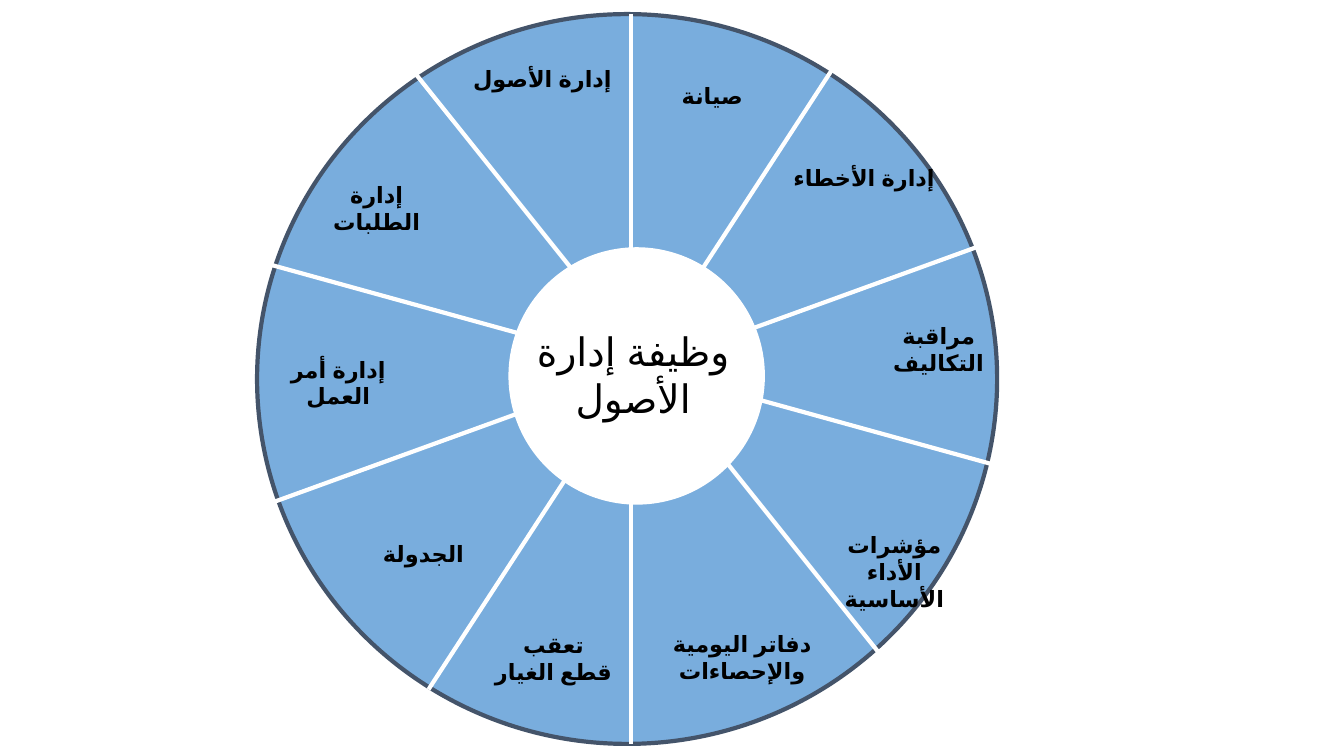
from lxml import etree
from pptx import Presentation
from pptx import util as u
from pptx.dml.color import RGBColor
from pptx.enum import shapes, text
from pptx.oxml.ns import qn

PX = 9144  # 100 px to the inch
BLUE, SLATE, WHITE, BLACK = "79ADDD", "44546A", "FFFFFF", "000000"
FONT = "Arial"

# Spokes: from x, from y, to x, to y, within the wheel
SPOKES = [
    (371, 0, 371, 724),
    (738, 449, 11, 248),
    (571, 54, 170, 670),
    (717, 230, 11, 486),
    (625, 644, 153, 54),
]

# Labels: wording, left, top, width, height, within the wheel
LABELS = [
    ("إدارة الأصول", 197, 46, 172, 37),
    ("إدارة الطلبات", 40, 161, 157, 37),
    ("إدارة أمر العمل", -1, 334, 163, 37),
    ("الجدولة", 95, 517, 140, 37),
    ("تعقب قطع الغيار", 226, 607, 136, 37),
    ("دفاتر اليومية والإحصاءات", 394, 606, 174, 64),
    ("مؤشرات الأداء الأساسية", 547, 508, 170, 64),
    ("مراقبة التكاليف", 591, 301, 170, 37),
    ("إدارة الأخطاء", 515, 144, 174, 37),
    ("صيانة", 373, 63, 157, 37),
]


def px(*vals):
    return [u.Emu(v * PX) for v in vals]


def color(code):
    return RGBColor.from_string(code)


def disc(parts, box, fill, edge, width):
    oval = parts.add_shape(shapes.MSO_SHAPE.OVAL, *px(*box))
    oval.shadow.inherit = False
    oval.fill.solid()
    oval.fill.fore_color.rgb = color(fill)
    oval.line.color.rgb = color(edge)
    oval.line.width = u.Pt(width)


def spoke(parts, ends):
    line = parts.add_connector(shapes.MSO_CONNECTOR.STRAIGHT, *px(*ends))
    line.line.color.rgb = color(WHITE)
    line.line.width = u.Pt(3)
    etree.SubElement(line._element.spPr, qn("a:effectLst"))


def label(parts, words, box, size, bold):
    frame = parts.add_textbox(*px(*box)).text_frame
    frame.word_wrap = True
    frame.auto_size = text.MSO_AUTO_SIZE.SHAPE_TO_FIT_TEXT
    para = frame.paragraphs[0]
    para.alignment = text.PP_ALIGN.CENTER
    para._p.get_or_add_pPr().set("rtl", "1")
    run = para.add_run()
    run.text = words
    font = run.font
    font.name, font.size, font.bold = FONT, u.Pt(size), bold
    font.color.rgb = color(BLACK)
    # Arabic script takes the complex-script font
    props = run._r.get_or_add_rPr()
    props.set("lang", "ar-SA")
    etree.SubElement(props, qn("a:cs")).set("typeface", FONT)


def wheel(slide, x, y, w, h):
    parts = slide.shapes.add_group_shape().shapes

    # Rim and spokes
    disc(parts, (x, y, w, h), BLUE, SLATE, 3)
    for x1, y1, x2, y2 in SPOKES:
        spoke(parts, (x + x1, y + y1, x + x2, y + y2))

    # Hub
    disc(parts, (x + 250, y + 232, 253, 254), WHITE, WHITE, 1)
    label(parts, "وظيفة إدارة الأصول", (x + 244, y + 306, 258, 104), 28, False)

    # Sector labels
    for words, left, top, wide, high in LABELS:
        label(parts, words, (x + left, y + top, wide, high), 16, True)


def main():
    deck = Presentation()
    deck.slide_width, deck.slide_height = px(1333, 750)
    slide = deck.slides.add_slide(deck.slide_layouts[6])
    wheel(slide, 255, 14, 734, 724)
    deck.save("out.pptx")


if __name__ == "__main__":
    main()
